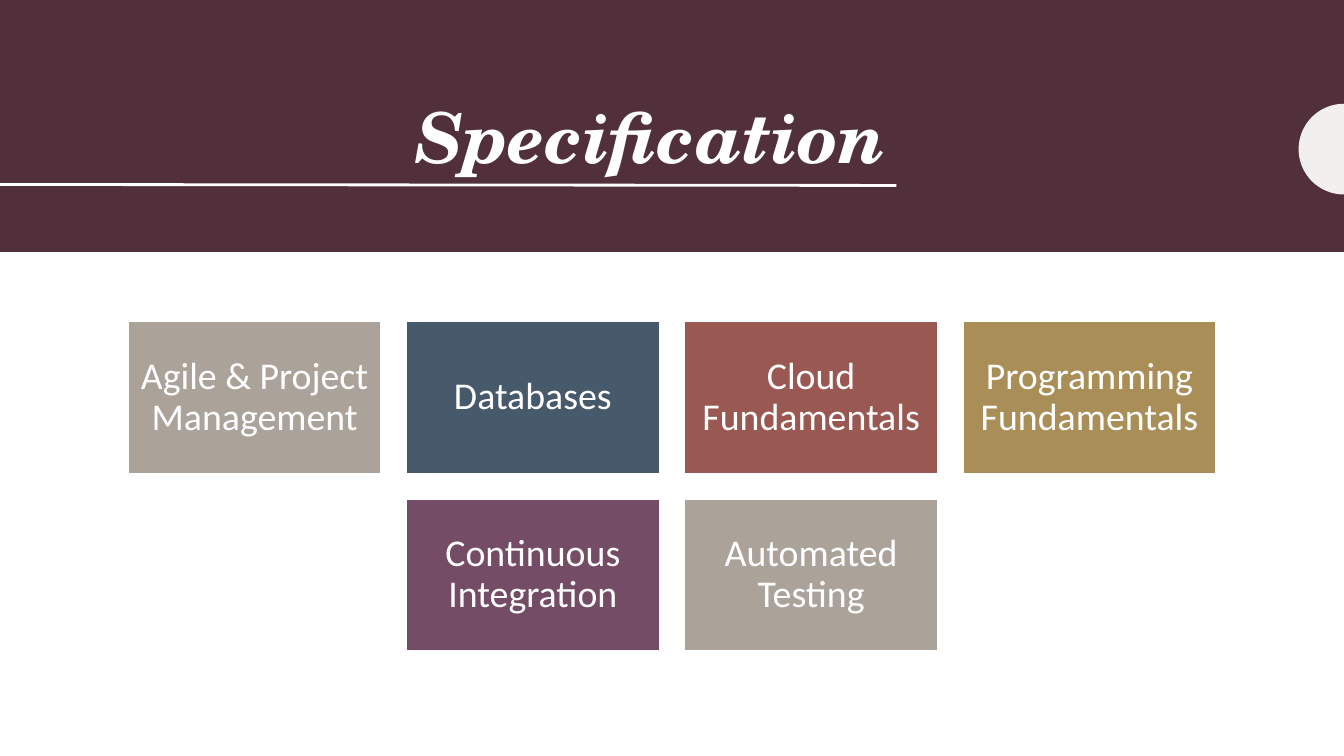
import math

from lxml import etree
from pptx import Presentation
from pptx.dml.color import RGBColor
from pptx.enum import shapes, text
from pptx.oxml import ns
from pptx.util import Inches, Pt

WHITE = RGBColor(0xFF, 0xFF, 0xFF)
PLUM = RGBColor(0x51, 0x30, 0x3B)
PALE = RGBColor(0xF2, 0xF0, 0xEF)
TAUPE = RGBColor(0xAB, 0xA2, 0x99)
SLATE = RGBColor(0x47, 0x5A, 0x6B)
BRICK = RGBColor(0x9A, 0x58, 0x53)
OCHRE = RGBColor(0xA9, 0x8E, 0x58)
PURPLE = RGBColor(0x75, 0x4C, 0x66)

SLIDE_W, SLIDE_H = 13.33, 7.5
TILE_W, TILE_H, GAP = 2.51, 1.51, 0.25
TILES_TOP = 3.19
TILE_ROWS = [
    [("Agile & Project Management", TAUPE), ("Databases", SLATE),
     ("Cloud Fundamentals", BRICK), ("Programming Fundamentals", OCHRE)],
    [("Continuous Integration", PURPLE), ("Automated Testing", TAUPE)],
]


class Deck:
    title_font = "TeX Gyre Schola"
    body_font = "Calibri"

    def __init__(self):
        self.prs = Presentation()
        self.prs.slide_width = Inches(SLIDE_W)
        self.prs.slide_height = Inches(SLIDE_H)
        self.s = self.prs.slides.add_slide(self.prs.slide_layouts[6])

    def paint(self, sp, fill, line=None):
        sp.shadow.inherit = False
        sp.fill.solid()
        sp.fill.fore_color.rgb = fill
        if line is None:
            sp.line.fill.background()
        else:
            sp.line.color.rgb = line
            sp.line.width = Pt(1)

    def rect(self, x, y, w, h, fill, line=None):
        sp = self.s.shapes.add_shape(shapes.MSO_SHAPE.RECTANGLE, Inches(x),
                                     Inches(y), Inches(w), Inches(h))
        self.paint(sp, fill, line)
        return sp

    def set_text(self, sp, words, font, size, align, anchor):
        tf = sp.text_frame
        tf.word_wrap = True
        tf.vertical_anchor = anchor
        p = tf.paragraphs[0]
        p.text = words
        p.alignment = align
        p.line_spacing = 0.9
        p.font.name = font
        p.font.size = Pt(size)
        p.font.color.rgb = WHITE
        return p

    def title(self, words, x, y, w, h):
        sp = self.s.shapes.add_textbox(Inches(x), Inches(y), Inches(w), Inches(h))
        p = self.set_text(sp, words, self.title_font, 50, text.PP_ALIGN.RIGHT,
                          text.MSO_ANCHOR.BOTTOM)
        p.font.bold = p.font.italic = True

    def tile(self, words, x, y, fill):
        sp = self.rect(x, y, TILE_W, TILE_H, fill, WHITE)
        tf = sp.text_frame
        tf.margin_left = tf.margin_right = Inches(0.11)
        tf.margin_top = tf.margin_bottom = Inches(0.11)
        self.set_text(sp, words, self.body_font, 27, text.PP_ALIGN.CENTER,
                      text.MSO_ANCHOR.MIDDLE)

    def line(self, x1, y1, x2, y2, color, width):
        c = self.s.shapes.add_connector(shapes.MSO_CONNECTOR.STRAIGHT, Inches(x1),
                                        Inches(y1), Inches(x2), Inches(y2))
        c.line.color.rgb = color
        c.line.width = Pt(width)
        etree.SubElement(c._element.spPr, ns.qn("a:effectLst"))

    def left_half_disc(self, cx, cy, radius, fill, steps=48):
        angles = [math.pi * (0.5 + i / steps) for i in range(steps + 1)]
        points = [(Inches(cx + radius * math.cos(a)), Inches(cy + radius * math.sin(a)))
                  for a in angles]
        fb = self.s.shapes.build_freeform(*points[0])
        fb.add_line_segments(points[1:], close=True)
        self.paint(fb.convert_to_shape(), fill)


def main():
    deck = Deck()
    deck.rect(0, 0, SLIDE_W, SLIDE_H, WHITE)
    deck.rect(0, 0, SLIDE_W, 2.5, PLUM)
    deck.title("Specification", 1.05, 0.47, 7.84, 1.35)
    deck.left_half_disc(SLIDE_W, 1.48, 0.45, PALE)
    deck.line(0, 1.83, 8.89, 1.84, WHITE, 2)

    for row, tiles in enumerate(TILE_ROWS):
        row_w = len(tiles) * (TILE_W + GAP) - GAP
        left = (SLIDE_W - row_w) / 2
        top = TILES_TOP + row * (TILE_H + GAP)
        for col, (words, fill) in enumerate(tiles):
            deck.tile(words, left + col * (TILE_W + GAP), top, fill)

    deck.prs.save("out.pptx")


if __name__ == "__main__":
    main()
